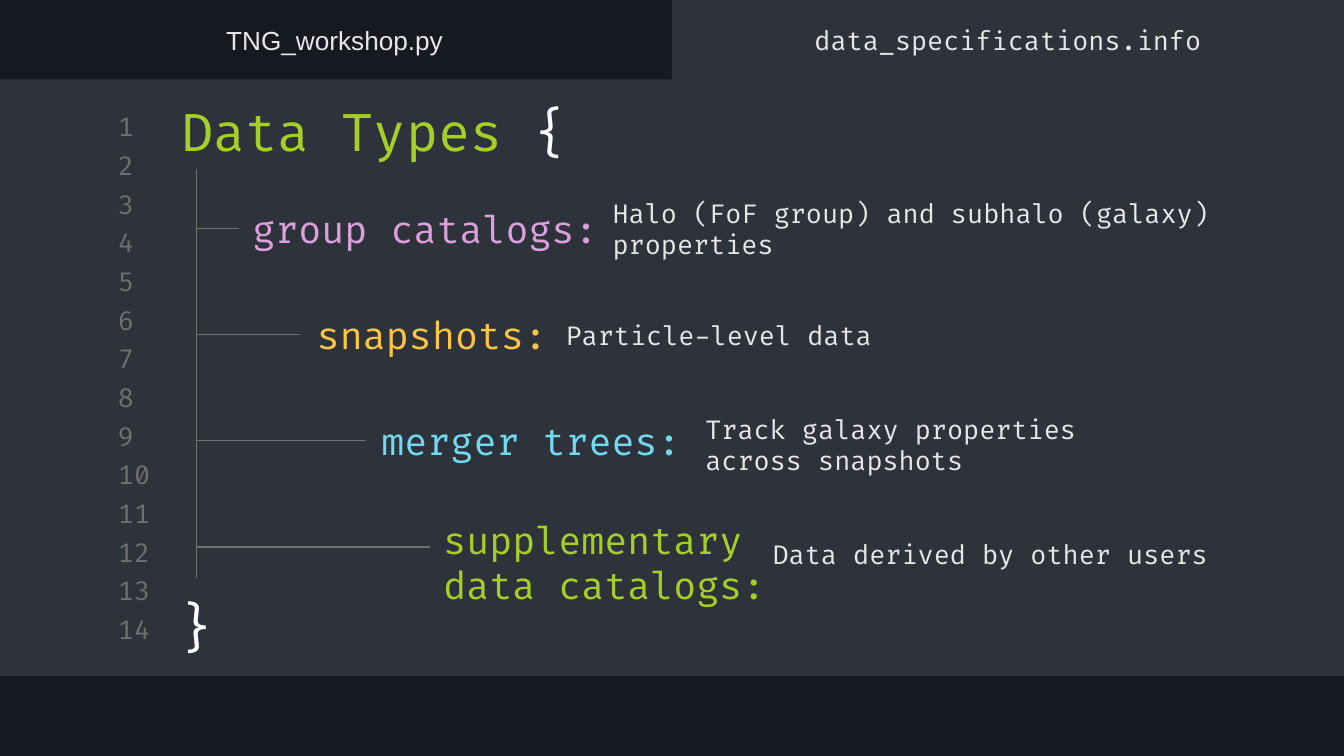
from dataclasses import dataclass

import pptx
import pptx.dml.color
import pptx.enum.shapes
import pptx.enum.text
import pptx.oxml
import pptx.oxml.ns
import pptx.util
from pptx.util import Inches

Align = pptx.enum.text.PP_ALIGN
Anchor = pptx.enum.text.MSO_ANCHOR


@dataclass(frozen=True)
class Theme:
    background: str = "16191F"
    panel: str = "2E323B"
    muted: str = "707070"
    body: str = "E7E7E7"
    white: str = "FFFFFF"
    green: str = "A5CF27"
    pink: str = "DBA0DB"
    yellow: str = "FCC642"
    blue: str = "72D9F0"
    code_font: str = "Fira Code"
    plain_font: str = "Arial"
    title_size: int = 28
    heading_size: int = 20
    body_size: int = 14
    line_width: float = 0.75


THEME = Theme()


@dataclass(frozen=True)
class Box:
    left: float
    top: float
    width: float
    height: float

    def lengths(self) -> tuple:
        return tuple(Inches(n) for n in (self.left, self.top, self.width, self.height))


@dataclass(frozen=True)
class DataType:
    name: str
    color: str
    name_box: Box
    description: str
    description_box: Box
    branch_end: float


def rgb(color: str) -> pptx.dml.color.RGBColor:
    return pptx.dml.color.RGBColor.from_string(color)


def add_text(slide, box: Box, *runs: tuple[str, str], size: int = THEME.body_size,
             font: str = THEME.code_font, align=Align.LEFT, anchor=Anchor.MIDDLE) -> None:
    """Add one paragraph made of (text, color) runs."""
    frame = slide.shapes.add_textbox(*box.lengths()).text_frame
    frame.word_wrap = True
    frame.vertical_anchor = anchor
    frame.margin_left = frame.margin_right = Inches(0.1)
    frame.margin_top = frame.margin_bottom = Inches(0.1)
    paragraph = frame.paragraphs[0]
    paragraph.alignment = align
    for text, color in runs:
        run = paragraph.add_run()
        run.text = text
        run.font.name = font
        run.font.size = pptx.util.Pt(size)
        run.font.color.rgb = rgb(color)


def add_panel(slide, box: Box) -> None:
    shape = slide.shapes.add_shape(
        pptx.enum.shapes.MSO_SHAPE.RECTANGLE, *box.lengths())
    shape.shadow.inherit = False
    shape.fill.solid()
    shape.fill.fore_color.rgb = rgb(THEME.panel)
    shape.line.fill.background()


def add_line(slide, start: tuple[float, float], end: tuple[float, float]) -> None:
    connector = slide.shapes.add_connector(
        pptx.enum.shapes.MSO_CONNECTOR.STRAIGHT,
        *(Inches(value) for value in start + end))
    connector.line.color.rgb = rgb(THEME.muted)
    connector.line.width = pptx.util.Pt(THEME.line_width)
    properties = connector._element.spPr
    properties.append(pptx.oxml.parse_xml(
        f"<a:effectLst {pptx.oxml.ns.nsdecls('a')}/>"))


DATA_TYPES = [
    DataType("group catalogs:", THEME.pink, Box(1.78, 1.38, 2.79, 0.64),
             "Halo (FoF group) and subhalo (galaxy) properties",
             Box(4.46, 1.38, 4.7, 0.64), 1.78),
    DataType("snapshots:", THEME.yellow, Box(2.26, 2.17, 2.09, 0.64),
             "Particle-level data", Box(4.11, 2.17, 4.35, 0.64), 2.23),
    DataType("merger trees:", THEME.blue, Box(2.74, 2.96, 2.77, 0.64),
             "Track galaxy properties across snapshots",
             Box(5.15, 2.99, 3.6, 0.64), 2.72),
    DataType("supplementary data catalogs:", THEME.green, Box(3.2, 3.75, 2.84, 0.86),
             "Data derived by other users", Box(5.65, 3.8, 4.35, 0.64), 3.2),
]
LINE_COUNT = 14
FIRST_LINE_TOP, LAST_LINE_TOP = 0.82, 4.56
LINE_STEP = (LAST_LINE_TOP - FIRST_LINE_TOP) / (LINE_COUNT - 1)
TRUNK_X = 1.46
BRANCH_TOP, BRANCH_STEP = 1.7, 0.79


def main() -> None:
    # Widescreen 16:9 slide
    presentation = pptx.Presentation()
    presentation.slide_width = Inches(10)
    presentation.slide_height = Inches(10 * 9 / 16)
    slide = presentation.slides.add_slide(presentation.slide_layouts[6])
    slide.background.fill.solid()
    slide.background.fill.fore_color.rgb = rgb(THEME.background)

    # Editor window and its active tab
    add_panel(slide, Box(0, 0.59, 10, 4.44))
    add_panel(slide, Box(5, 0, 5, 0.65))

    # Line numbers
    for index in range(LINE_COUNT):
        add_text(slide, Box(0.78, FIRST_LINE_TOP + index * LINE_STEP, 0.47, 0.24),
                 (str(index + 1), THEME.muted))

    # Title and closing brace
    add_text(slide, Box(1.25, 0.64, 7.97, 0.59),
             ("Data Types ", THEME.green), ("{", THEME.white),
             size=THEME.title_size, anchor=Anchor.TOP)
    add_text(slide, Box(1.19, 4.32, 0.55, 0.67), ("}", THEME.white),
             size=THEME.title_size, align=Align.CENTER, anchor=Anchor.TOP)

    # Tree of data types
    add_line(slide, (TRUNK_X, 1.26), (TRUNK_X, 4.3))
    for index, data_type in enumerate(DATA_TYPES):
        add_text(slide, data_type.name_box, (data_type.name, data_type.color),
                 size=THEME.heading_size)
        add_text(slide, data_type.description_box, (data_type.description, THEME.body))
        branch_y = BRANCH_TOP + index * BRANCH_STEP
        add_line(slide, (TRUNK_X, branch_y), (data_type.branch_end, branch_y))

    # Tab names
    add_text(slide, Box(-0.01, 0.1, 5, 0.39), ("TNG_workshop.py", THEME.body),
             font=THEME.plain_font, align=Align.CENTER)
    add_text(slide, Box(5, 0.1, 5, 0.39), ("data_specifications.info", THEME.body),
             align=Align.CENTER)

    presentation.save("out.pptx")


if __name__ == "__main__":
    main()
